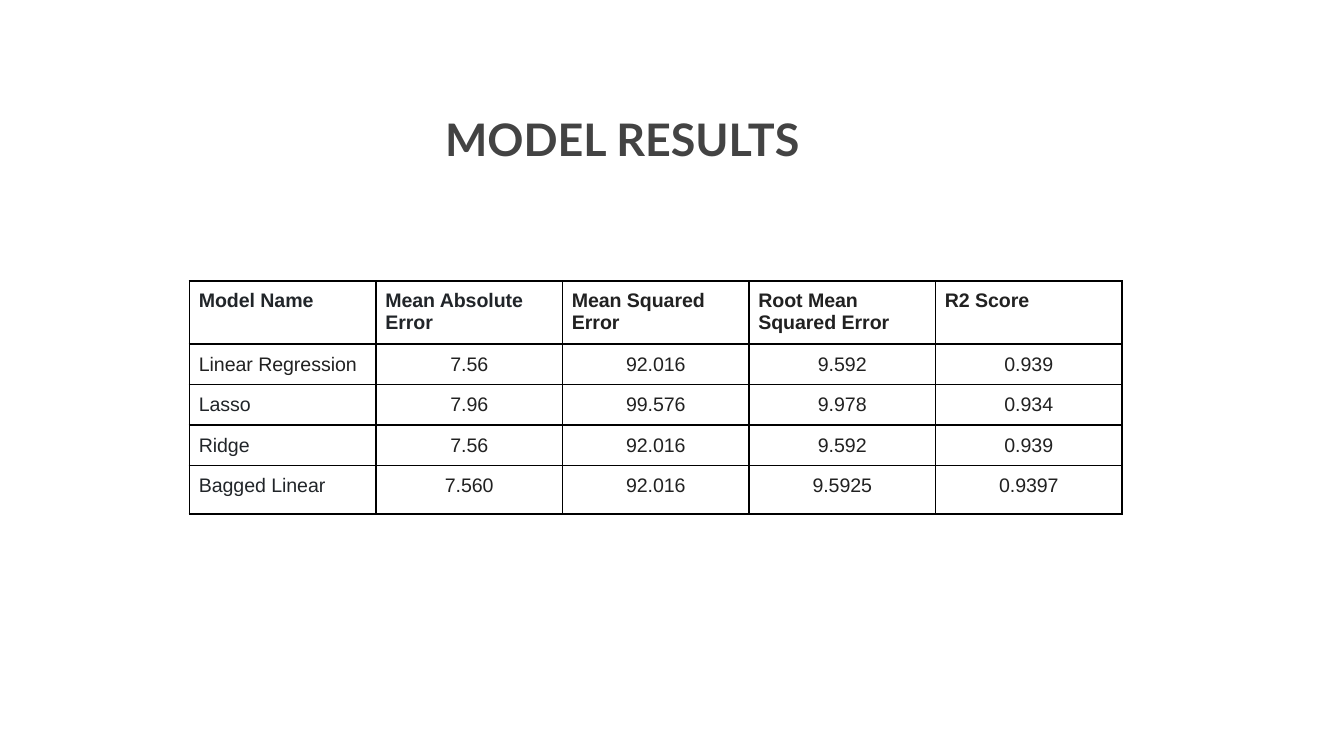
from dataclasses import dataclass

from lxml import etree
from pptx import Presentation
from pptx.dml.color import RGBColor
from pptx.enum.text import MSO_ANCHOR, MSO_AUTO_SIZE, PP_ALIGN
from pptx.oxml.ns import qn
from pptx.util import Inches, Pt

CENTER = PP_ALIGN.CENTER
LEFT = PP_ALIGN.LEFT
TOP = MSO_ANCHOR.TOP
NO_AUTOFIT = MSO_AUTO_SIZE.NONE

TITLE_GRAY = RGBColor(0x43, 0x43, 0x43)
SLATE = RGBColor(0x21, 0x25, 0x29)
CHARCOAL = RGBColor(0x21, 0x21, 0x21)
BORDER_BLACK = RGBColor(0x00, 0x00, 0x00)

SLIDE_WIDTH = 10
SLIDE_HEIGHT = SLIDE_WIDTH * 9 / 16
TABLE_WIDTH = 6.94
ROW_HEIGHTS = (0.47, 0.3, 0.3, 0.3, 0.36)
CELL_MARGIN = Inches(0.07)
BORDER_WIDTH = Pt(1)


@dataclass(frozen=True)
class ModelResult:
    name: str
    scores: tuple[str, ...]
    name_color: RGBColor = SLATE


HEADINGS = (
    ("Model Name", SLATE),
    ("Mean Absolute Error", SLATE),
    ("Mean Squared Error", CHARCOAL),
    ("Root Mean Squared Error", CHARCOAL),
    ("R2 Score", CHARCOAL),
)
RESULTS = (
    ModelResult("Linear Regression", ("7.56", "92.016", "9.592", "0.939"), CHARCOAL),
    ModelResult("Lasso", ("7.96", "99.576", "9.978", "0.934")),
    ModelResult("Ridge", ("7.56", "92.016", "9.592", "0.939")),
    ModelResult("Bagged Linear", ("7.560", "92.016", "9.5925", "0.9397")),
)


def add_run(paragraph, text: str, font: str, size: float, color: RGBColor, bold: bool) -> None:
    run = paragraph.add_run()
    run.text = text
    run.font.name = font
    run.font.size = Pt(size)
    run.font.bold = bold
    run.font.color.rgb = color


def add_borders(cell) -> None:
    """Outline all four sides; border lines must precede the fill in tcPr."""
    properties = cell._tc.get_or_add_tcPr()
    for position, side in enumerate(("lnL", "lnR", "lnT", "lnB")):
        line = etree.Element(qn(f"a:{side}"), w=str(int(BORDER_WIDTH)))
        fill = etree.SubElement(line, qn("a:solidFill"))
        etree.SubElement(fill, qn("a:srgbClr"), val=str(BORDER_BLACK))
        properties.insert(position, line)


def fill_cell(cell, text: str, color: RGBColor, bold: bool = False, align=LEFT) -> None:
    cell.margin_left = cell.margin_right = CELL_MARGIN
    cell.margin_top = cell.margin_bottom = CELL_MARGIN
    cell.vertical_anchor = TOP
    cell.fill.background()
    add_borders(cell)
    paragraph = cell.text_frame.paragraphs[0]
    paragraph.alignment = align
    add_run(paragraph, text, "Arial", 10.5, color, bold)


def add_title(slide) -> None:
    title = slide.shapes.title
    title.left, title.top = Inches(1.41), Inches(0.73)
    title.width, title.height = Inches(6.44), Inches(0.69)
    frame = title.text_frame
    frame.margin_left = frame.margin_right = Inches(0.1)
    frame.margin_top = frame.margin_bottom = Inches(0.1)
    frame.vertical_anchor = TOP
    frame.word_wrap = True
    frame.auto_size = NO_AUTOFIT
    heading = frame.paragraphs[0]
    heading.alignment = CENTER
    add_run(heading, "MODEL RESULTS", "Lato", 24, TITLE_GRAY, True)


def add_results_table(slide) -> None:
    table = slide.shapes.add_table(
        len(ROW_HEIGHTS), len(HEADINGS), Inches(1.41), Inches(2.09),
        Inches(TABLE_WIDTH), Inches(sum(ROW_HEIGHTS)),
    ).table
    table.first_row = False
    table.horz_banding = False
    for column in table.columns:
        column.width = Inches(TABLE_WIDTH / len(HEADINGS))
    for row, height in zip(table.rows, ROW_HEIGHTS):
        row.height = Inches(height)

    for column, (heading, color) in enumerate(HEADINGS):
        fill_cell(table.cell(0, column), heading, color, bold=True)
    for row, result in enumerate(RESULTS, start=1):
        fill_cell(table.cell(row, 0), result.name, result.name_color)
        for column, score in enumerate(result.scores, start=1):
            fill_cell(table.cell(row, column), score, CHARCOAL, align=CENTER)


def main() -> None:
    presentation = Presentation()
    presentation.slide_width = Inches(SLIDE_WIDTH)
    presentation.slide_height = Inches(SLIDE_HEIGHT)
    slide = presentation.slides.add_slide(presentation.slide_layouts[0])
    subtitle = slide.placeholders[1].element
    subtitle.getparent().remove(subtitle)
    add_title(slide)
    add_results_table(slide)
    presentation.save("out.pptx")


if __name__ == "__main__":
    main()
